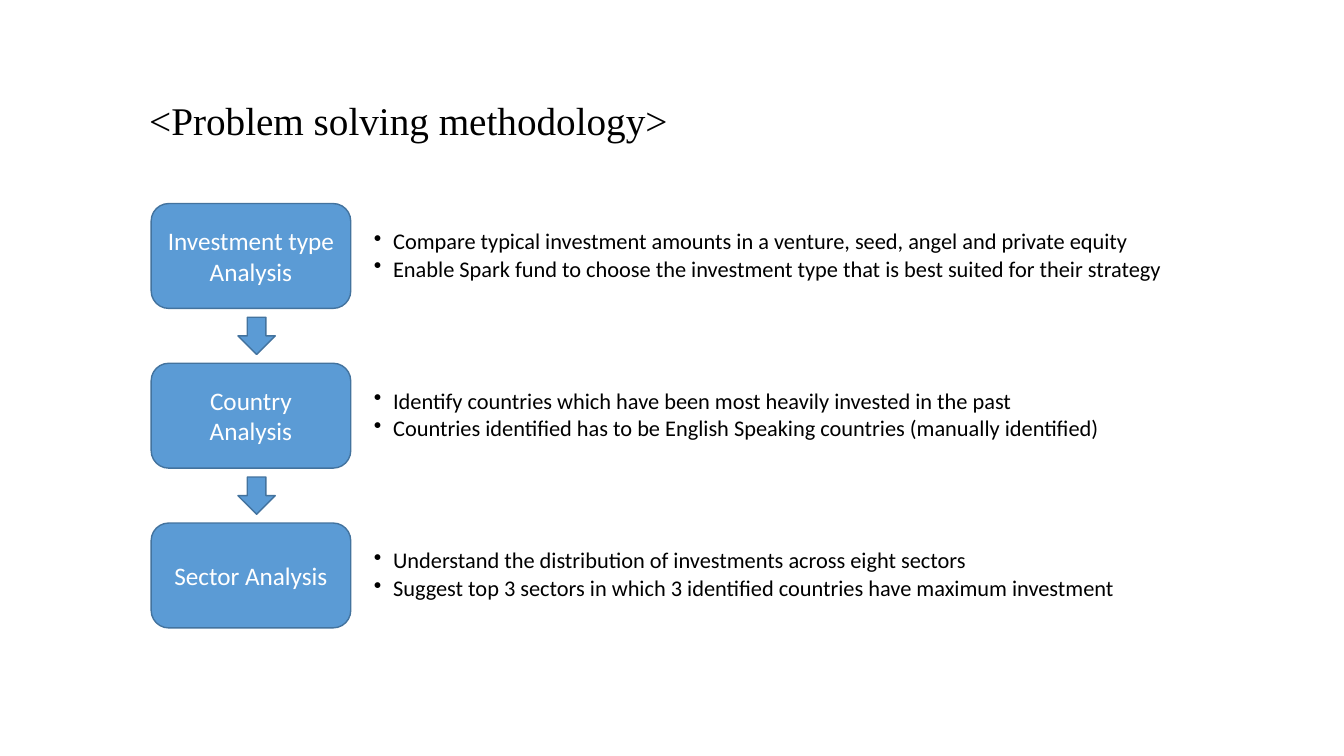
import dataclasses

import lxml.etree
import pptx
import pptx.dml.color
import pptx.enum.shapes
import pptx.enum.text
import pptx.oxml.ns
import pptx.util

WIDE, HIGH = 13.33, 7.5
BLUE, EDGE, WHITE, BLACK = "5B9BD5", "43739E", "FFFFFF", "000000"
LEFT, TOP, PITCH = 11.25, 26.93, 21.13
BOX_W, BOX_H = 14.85, 13.87
ARROW_X, ARROW_W, ARROW_H = 17.7, 2.78, 4.93
NOTE_X = 27.3


@dataclasses.dataclass
class Step:
    """A step with its notes, and the note size in percent of the slide."""
    name: str
    notes: list[str]
    wide: float
    high: float


STEPS = [
    Step("Investment type Analysis", [
        "Compare typical investment amounts in a venture, seed, angel and private equity",
        "Enable Spark fund to choose the investment type that is best suited for their strategy",
    ], 60.84, 6.27),
    Step("Country Analysis", [
        "Identify countries which have been most heavily invested in the past",
        "Countries identified has to be English Speaking countries (manually identified)",
    ], 55.66, 7.87),
    Step("Sector Analysis", [
        "Understand the distribution of investments across eight sectors",
        "Suggest top 3 sectors in which 3 identified countries have maximum investment",
    ], 57.16, 10),
]


def color(code: str) -> pptx.dml.color.RGBColor:
    """Turn a hex string into a colour."""
    return pptx.dml.color.RGBColor.from_string(code)


def place(x: float, y: float, w: float, h: float) -> list[int]:
    """Turn percents of the slide into lengths."""
    sides = (WIDE, HIGH, WIDE, HIGH)
    return [pptx.util.Inches(part * side / 100) for part, side in zip((x, y, w, h), sides)]


def write(para, text: str, size: float, code: str, font: str = "Calibri") -> None:
    """Add one run to a paragraph."""
    run = para.add_run()
    run.text = text
    run.font.size = pptx.util.Pt(size)
    run.font.name = font
    run.font.color.rgb = color(code)


def draw(slide, kind, area: list[int]):
    """Draw a blue shape with a dark edge."""
    shape = slide.shapes.add_shape(kind, *area)
    shape.shadow.inherit = False
    shape.fill.solid()
    shape.fill.fore_color.rgb = color(BLUE)
    shape.line.color.rgb = color(EDGE)
    shape.line.width = pptx.util.Pt(1)
    return shape


def frame(slide, area: list[int]):
    """Add a wrapped text box with centred height."""
    text = slide.shapes.add_textbox(*area).text_frame
    text.word_wrap = True
    text.vertical_anchor = pptx.enum.text.MSO_ANCHOR.MIDDLE
    return text


def bullet(para) -> None:
    """Give a paragraph a hanging bullet."""
    props = para._p.get_or_add_pPr()
    indent = pptx.util.Inches(0.19)
    props.set("marL", str(indent))
    props.set("indent", str(-indent))
    mark = lxml.etree.SubElement(props, pptx.oxml.ns.qn("a:buChar"))
    mark.set("char", "•")


def add_notes(slide, step: Step, mid: float) -> None:
    """Write the notes of a step around its middle."""
    text = frame(slide, place(NOTE_X, mid - step.high / 2, step.wide, step.high))
    inset = pptx.util.Inches(0.07)
    text.margin_left = text.margin_right = inset
    text.margin_top = text.margin_bottom = inset
    for index, note in enumerate(step.notes):
        para = text.add_paragraph() if index else text.paragraphs[0]
        para.line_spacing = 0.9
        para.space_after = pptx.util.Pt(2.4)
        bullet(para)
        write(para, note, 16, BLACK)


def add_step(slide, step: Step, top: float) -> None:
    """Draw the box of a step and its notes."""
    kind = pptx.enum.shapes.MSO_SHAPE.ROUNDED_RECTANGLE
    text = draw(slide, kind, place(LEFT, top, BOX_W, BOX_H)).text_frame
    text.word_wrap = True
    text.vertical_anchor = pptx.enum.text.MSO_ANCHOR.MIDDLE
    para = text.paragraphs[0]
    para.alignment = pptx.enum.text.PP_ALIGN.CENTER
    write(para, step.name, 18, WHITE)
    add_notes(slide, step, top + BOX_H / 2)


def add_arrow(slide, top: float) -> None:
    """Draw an arrow in the gap below a step."""
    gap = PITCH - BOX_H
    y = top + BOX_H + (gap - ARROW_H) / 2
    draw(slide, pptx.enum.shapes.MSO_SHAPE.DOWN_ARROW, place(ARROW_X, y, ARROW_W, ARROW_H))


def add_title(slide) -> None:
    """Write the slide title."""
    text = frame(slide, place(9.3, 10, 76.44, 12.53))
    text.margin_left = pptx.util.Inches(0.24)
    para = text.paragraphs[0]
    para.line_spacing = 0.9
    write(para, "<Problem solving methodology>", 28, BLACK, "Times New Roman")


def main() -> None:
    """Build and save the slide."""
    deck = pptx.Presentation()
    deck.slide_width = pptx.util.Inches(WIDE)
    deck.slide_height = pptx.util.Inches(HIGH)
    slide = deck.slides.add_slide(deck.slide_layouts[6])
    add_title(slide)
    for index, step in enumerate(STEPS):
        top = TOP + index * PITCH
        add_step(slide, step, top)
        if index < len(STEPS) - 1:
            add_arrow(slide, top)
    deck.save("out.pptx")


main()
